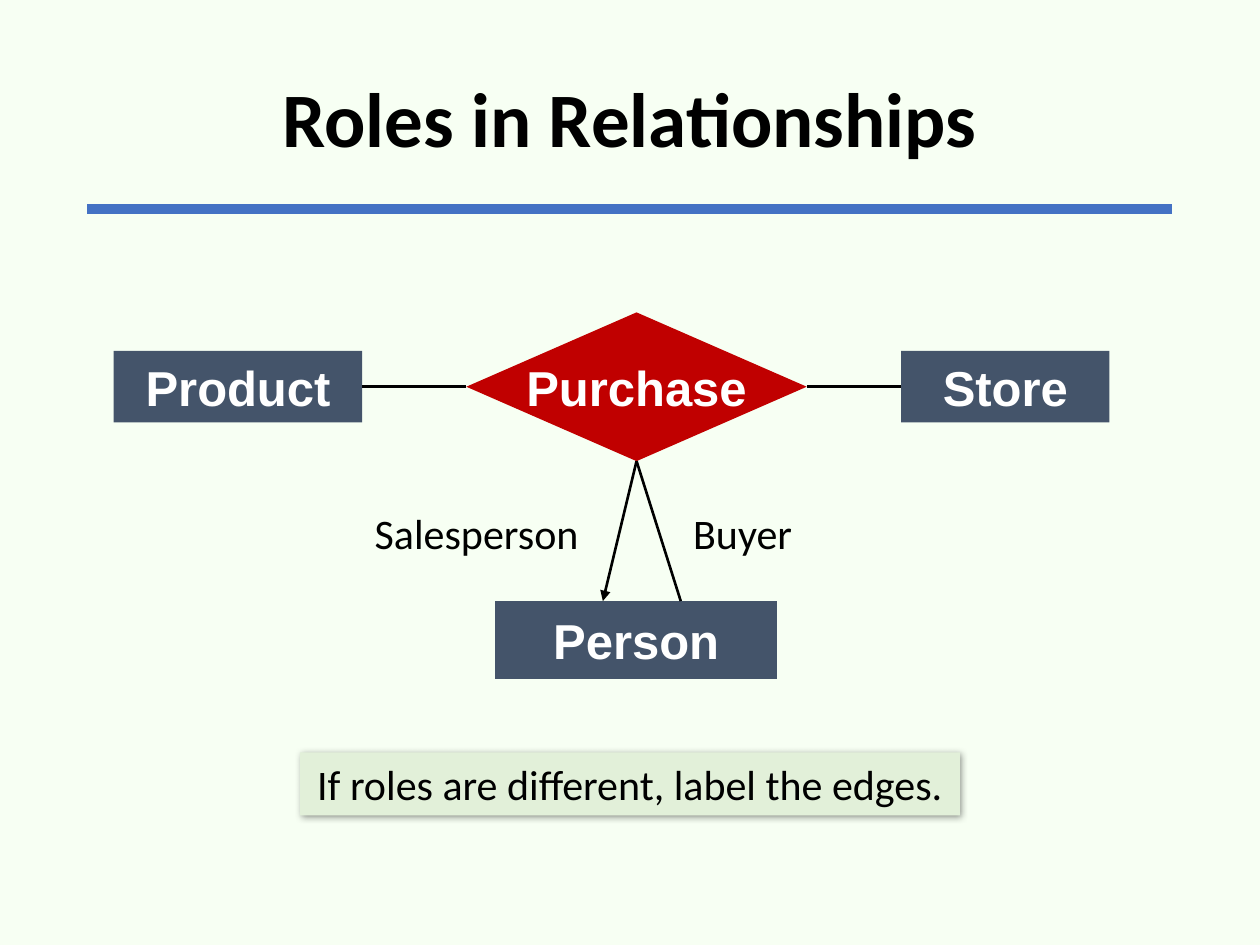
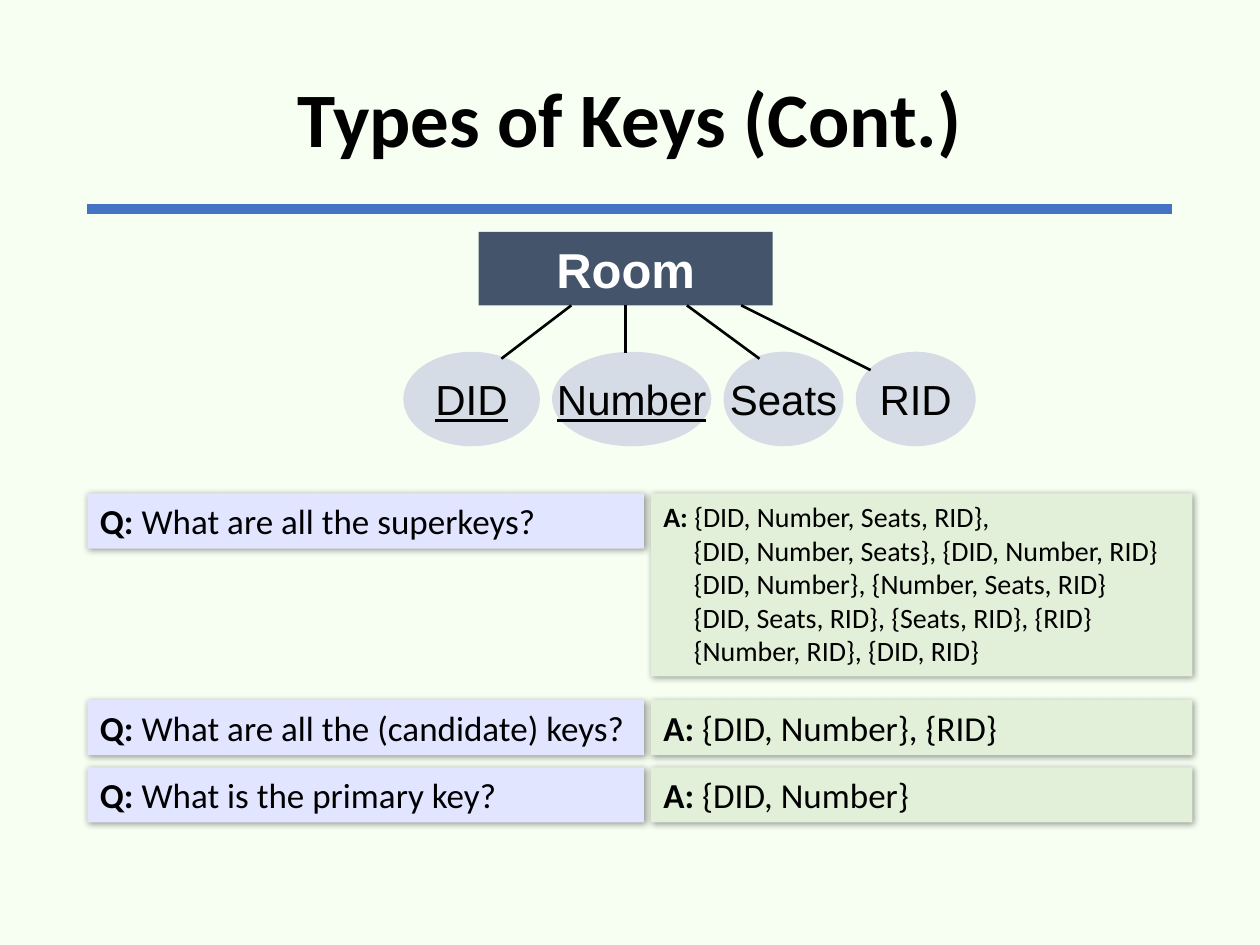
from lxml import etree
from pptx import Presentation
from pptx.dml.color import RGBColor
from pptx.enum.shapes import MSO_CONNECTOR as CONNECTOR, MSO_SHAPE as SHAPE
from pptx.enum.text import MSO_ANCHOR as ANCHOR, PP_ALIGN as ALIGN
from pptx.oxml.ns import qn
from pptx.util import Pt

BACKGROUND = RGBColor(0xF7, 0xFF, 0xF3)
RULE_BLUE = RGBColor(0x44, 0x72, 0xC4)
ENTITY_SLATE = RGBColor(0x44, 0x54, 0x6A)
RELATION_RED = RGBColor(0xC0, 0x00, 0x00)
ATTRIBUTE_GREY = RGBColor(0xD6, 0xDC, 0xE5)
QUESTION_LILAC = RGBColor(0xE2, 0xE5, 0xFF)
ANSWER_GREEN = RGBColor(0xE2, 0xF0, 0xD9)
BLACK = RGBColor(0x00, 0x00, 0x00)
WHITE = RGBColor(0xFF, 0xFF, 0xFF)

BODY_FONT = "Calibri"
DIAGRAM_FONT = "Arial"
SLIDE_WIDTH, SLIDE_HEIGHT = 720, 540
MARGIN = 50
TOP, LEFT, BOTTOM, RIGHT = range(4)


def style_run(run, size, font=BODY_FONT, color=BLACK, bold=False, underline=False):
    run.font.size = Pt(size)
    run.font.name = font
    run.font.color.rgb = color
    run.font.bold = bold
    run.font.underline = underline


def add_text(slide, text, box, size, bold=False, wrap=True):
    shape = slide.shapes.add_textbox(*map(Pt, box))
    frame = shape.text_frame
    frame.word_wrap = wrap
    frame.text = text
    style_run(frame.paragraphs[0].runs[0], size, bold=bold)
    return shape


def add_filled(slide, kind, box, fill):
    shape = slide.shapes.add_shape(kind, *map(Pt, box))
    shape.shadow.inherit = False
    shape.fill.solid()
    shape.fill.fore_color.rgb = fill
    shape.line.fill.background()
    return shape


def add_node(slide, kind, text, box, fill, size=28, color=WHITE, bold=True, underline=False):
    """Add an entity, relationship or attribute of an ER diagram."""
    shape = add_filled(slide, kind, box, fill)
    frame = shape.text_frame
    frame.word_wrap = False
    frame.vertical_anchor = ANCHOR.MIDDLE
    frame.text = text
    frame.paragraphs[0].alignment = ALIGN.CENTER
    style_run(frame.paragraphs[0].runs[0], size, DIAGRAM_FONT, color, bold, underline)
    return shape


def add_line(slide, start, end, color=BLACK, width=1.5, arrow=False):
    line = slide.shapes.add_connector(CONNECTOR.STRAIGHT, *map(Pt, (*start, *end)))
    line.line.color.rgb = color
    line.line.width = Pt(width)
    properties = line._element.spPr
    if arrow:
        tail = etree.SubElement(properties.find(qn("a:ln")), qn("a:tailEnd"))
        tail.set("type", "triangle")
    etree.SubElement(properties, qn("a:effectLst"))
    return line


def add_card(slide, box, fill):
    """Add a rectangle with a soft shadow, ready for left-aligned text."""
    shape = add_filled(slide, SHAPE.RECTANGLE, box, fill)
    effects = shape._element.spPr.find(qn("a:effectLst"))
    shadow = etree.SubElement(effects, qn("a:outerShdw"), blurRad=str(Pt(4)),
                              dist=str(Pt(1)), dir="2700000", algn="tl", rotWithShape="0")
    color = etree.SubElement(shadow, qn("a:srgbClr"), val=str(BLACK))
    etree.SubElement(color, qn("a:alpha"), val="40000")
    shape.text_frame.word_wrap = True
    shape.text_frame.vertical_anchor = ANCHOR.TOP
    shape.text_frame.paragraphs[0].alignment = ALIGN.LEFT
    return shape


def add_labelled_card(slide, label, lines, box, fill, size=20, indent=17.5):
    """Add a card that opens with a bold label; later lines are indented."""
    frame = add_card(slide, box, fill).text_frame
    for number, line in enumerate(lines):
        if number == 0:
            paragraph = frame.paragraphs[0]
            run = paragraph.add_run()
            run.text = f"{label}: "
            style_run(run, size, bold=True)
        else:
            paragraph = frame.add_paragraph()
            paragraph.alignment = ALIGN.LEFT
            properties = paragraph._p.get_or_add_pPr()
            properties.set("marL", str(Pt(indent)))
            properties.set("indent", "0")
        run = paragraph.add_run()
        run.text = line
        style_run(run, size)


def add_titled_slide(presentation, title):
    slide = presentation.slides.add_slide(presentation.slide_layouts[6])
    slide.background.fill.solid()
    slide.background.fill.fore_color.rgb = BACKGROUND
    width = SLIDE_WIDTH - 2 * MARGIN
    add_line(slide, (MARGIN, 119.5), (MARGIN + width, 119.5), RULE_BLUE, 6)
    frame = add_text(slide, title, (MARGIN, 17.5, width, 104.5), 44, bold=True).text_frame
    frame.vertical_anchor = ANCHOR.MIDDLE
    frame.paragraphs[0].alignment = ALIGN.CENTER
    frame.paragraphs[0].line_spacing = 0.9
    return slide


def add_purchase_diagram(slide, left, top):
    def entity(text, x, y, width, height):
        return add_node(slide, SHAPE.RECTANGLE, text, (left + x, top + y, width, height), ENTITY_SLATE)

    product = entity("Product", 0, 22, 142, 41)
    store = entity("Store", 450, 22, 119, 41)
    person = entity("Person", 218, 165, 161, 44.5)
    purchase = add_node(slide, SHAPE.DIAMOND, "Purchase",
                        (left + 201.5, top, 194.5, 85), RELATION_RED)

    for start, start_side, end, end_side in ((store, LEFT, purchase, RIGHT),
                                             (purchase, LEFT, product, RIGHT)):
        line = add_line(slide, (0, 0), (0, 0))
        line.begin_connect(start, start_side)
        line.end_connect(end, end_side)

    person_top = person.top.pt
    for role, end_x, arrow, label_x, label_width in (("Buyer", 324, False, 324, 74),
                                                     ("Salesperson", 279.5, True, 142, 132)):
        line = add_line(slide, (left + 298.5, top + 85), (left + end_x, person_top), arrow=arrow)
        line.begin_connect(purchase, BOTTOM)
        add_text(slide, role, (left + label_x, top + 108, label_width, 36), 24, wrap=False)


def add_room_diagram(slide, left, top):
    room = add_node(slide, SHAPE.RECTANGLE, "Room", (left + 43, top, 168, 42), ENTITY_SLATE)
    room_bottom = top + 42
    attribute_x = left
    # Name, width, part of the key, line start, line end, drop of the line
    attributes = (("DID", 78, True, 96, 56, 30.5),
                  ("Number", 91, True, 127, 127, 27),
                  ("Seats", 68.5, False, 162, 203.5, 30.5),
                  ("RID", 68.5, False, 193, 267, 37))
    for name, width, in_key, start_x, end_x, drop in attributes:
        add_node(slide, SHAPE.OVAL, name, (attribute_x, top + 68.5, width, 54),
                 ATTRIBUTE_GREY, 24, BLACK, False, in_key)
        line = add_line(slide, (left + start_x, room_bottom), (left + end_x, room_bottom + drop))
        if name == "Number":
            line.begin_connect(room, BOTTOM)
        attribute_x += width + 7


def add_questions(slide, left, top):
    rows = (
        (0, "What are all the superkeys?", 104.5, 16,
         ["{DID, Number, Seats, RID},",
          "{DID, Number, Seats}, {DID, Number, RID}",
          "{DID, Number}, {Number, Seats, RID}",
          "{DID, Seats, RID}, {Seats, RID}, {RID}",
          "{Number, RID}, {DID, RID}"]),
        (118, "What are all the (candidate) keys?", 31.5, 20, ["{DID, Number}, {RID}"]),
        (156.5, "What is the primary key?", 31.5, 20, ["{DID, Number}"]),
    )
    for offset, question, answer_height, answer_size, answer in rows:
        y = top + offset
        add_labelled_card(slide, "Q", [question], (left, y, 318, 31.5), QUESTION_LILAC)
        add_labelled_card(slide, "A", answer, (left + 322, y, 309.5, answer_height),
                          ANSWER_GREEN, answer_size)


def build_roles_slide(presentation):
    slide = add_titled_slide(presentation, "Roles in Relationships")
    add_purchase_diagram(slide, 65, 178.5)
    frame = add_card(slide, (171.5, 430, 377, 36), ANSWER_GREEN).text_frame
    frame.text = "If roles are different, label the edges."
    frame.paragraphs[0].alignment = ALIGN.CENTER
    style_run(frame.paragraphs[0].runs[0], 24)


def build_keys_slide(presentation):
    slide = add_titled_slide(presentation, "Types of Keys (Cont.)")
    add_room_diagram(slide, 230.5, 132.5)
    add_questions(slide, MARGIN, 282)


def main():
    presentation = Presentation()
    presentation.slide_width = Pt(SLIDE_WIDTH)
    presentation.slide_height = Pt(SLIDE_HEIGHT)
    build_roles_slide(presentation)
    build_keys_slide(presentation)
    presentation.save("out.pptx")


if __name__ == "__main__":
    main()
